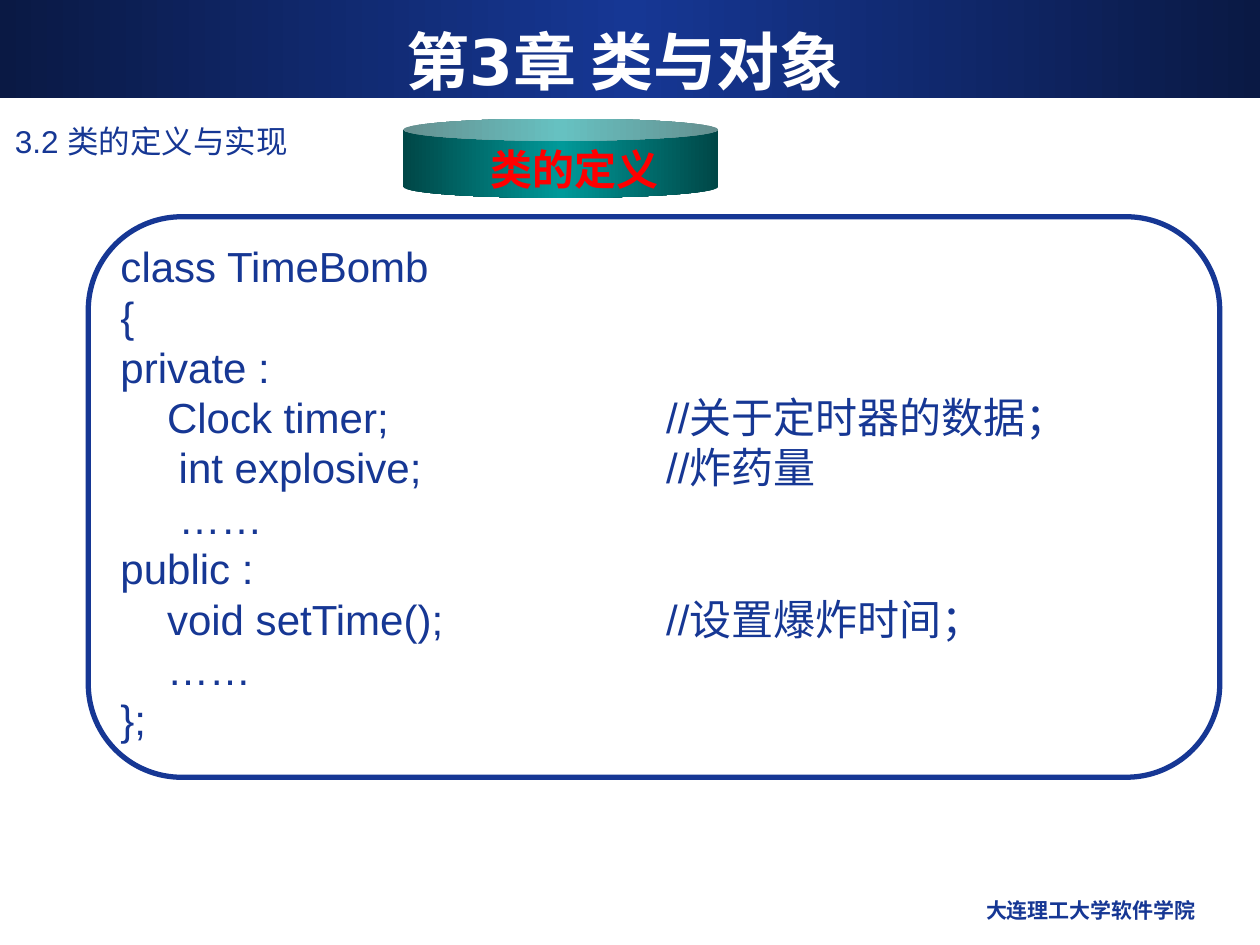
from copy import deepcopy
from dataclasses import dataclass

from lxml.etree import SubElement
from pptx import Presentation
from pptx.dml.color import RGBColor
from pptx.enum.shapes import MSO_SHAPE
from pptx.enum.text import MSO_ANCHOR, PP_ALIGN
from pptx.oxml.ns import qn
from pptx.util import Cm, Pt

COLORS = {
    "navy": "163794",
    "deep_navy": "0A1944",
    "teal": "009999",
    "deep_teal": "004747",
    "red": "FF0000",
    "white": "FFFFFF",
}
COMMENT_STOP = Cm(11)

CODE = (
    "class TimeBomb",
    "{",
    "private :",
    "    Clock timer;\t//关于定时器的数据；",
    "     int explosive;\t//炸药量",
    "     ……",
    "public :",
    "    void setTime();\t//设置爆炸时间；",
    "    ……",
    "};",
)


@dataclass(frozen=True)
class Frame:
    left: float
    top: float
    width: float
    height: float

    def lengths(self) -> tuple:
        return Cm(self.left), Cm(self.top), Cm(self.width), Cm(self.height)


@dataclass(frozen=True)
class Label:
    frame: Frame
    lines: tuple
    size: int
    color: str = "navy"
    font: str = "Arial"
    bold: bool = False
    align: PP_ALIGN = PP_ALIGN.LEFT
    anchor: MSO_ANCHOR = MSO_ANCHOR.TOP
    wrap: bool = True
    spacing: float = 0


LABELS = (
    Label(Frame(16.31, 17.96, 8.05, 0.89), ("大连理工大学软件学院",), 12,
          font="DejaVu Sans", bold=True, align=PP_ALIGN.RIGHT),
    Label(Frame(0.05, 2.34, 23.5, 1.04), ("3.2 类的定义与实现",), 18),
    Label(Frame(0.84, 0.43, 23.5, 1.57), ("第3章 类与对象",), 36, "white",
          "DejaVu Sans", True, PP_ALIGN.CENTER, MSO_ANCHOR.MIDDLE),
    Label(Frame(2.18, 4.72, 21.18, 10.41), CODE, 24, spacing=28.8),
    Label(Frame(9.63, 2.77, 3.89, 1.27), ("类的定义",), 24, "red",
          bold=True, wrap=False),
)


def rgb(name: str) -> RGBColor:
    return RGBColor.from_string(COLORS[name])


def add_plain_shape(page, kind: MSO_SHAPE, frame: Frame):
    shape = page.shapes.add_shape(kind, *frame.lengths())
    shape.shadow.inherit = False
    shape.fill.background()
    shape.line.fill.background()
    return shape


def fill_sheen(shape, edge: str, middle: str) -> None:
    fill = shape.fill
    fill.gradient()
    fill.gradient_angle = 0
    stops = shape._element.spPr.find(".//" + qn("a:gsLst"))
    center = deepcopy(stops[0])
    center.set("pos", "50000")
    stops.insert(1, center)
    for stop, name in zip(fill.gradient_stops, (edge, middle, edge)):
        stop.color.rgb = rgb(name)


def add_comment_stop(para) -> None:
    tabs = SubElement(para._p.get_or_add_pPr(), qn("a:tabLst"))
    SubElement(tabs, qn("a:tab"), pos=str(COMMENT_STOP), algn="l")


def add_label(page, label: Label) -> None:
    box = page.shapes.add_textbox(*label.frame.lengths())
    frame = box.text_frame
    frame.word_wrap = label.wrap
    frame.vertical_anchor = label.anchor
    for index, line in enumerate(label.lines):
        para = frame.add_paragraph() if index else frame.paragraphs[0]
        para.text = line
        para.alignment = label.align
        if label.spacing:
            para.line_spacing = Pt(label.spacing)
        if "\t" in line:
            add_comment_stop(para)
        para.font.name = label.font
        para.font.size = Pt(label.size)
        para.font.bold = label.bold
        para.font.color.rgb = rgb(label.color)


def main() -> None:
    deck = Presentation()
    deck.slide_width, deck.slide_height = Cm(25.4), Cm(19.05)
    page = deck.slides.add_slide(deck.slide_layouts[6])

    banner = add_plain_shape(page, MSO_SHAPE.RECTANGLE, Frame(0, 0, 25.4, 1.98))
    fill_sheen(banner, "deep_navy", "navy")

    code_border = add_plain_shape(page, MSO_SHAPE.ROUNDED_RECTANGLE,
                                  Frame(1.78, 4.37, 22.81, 11.3))
    code_border.line.color.rgb = rgb("navy")
    code_border.line.width = Pt(3)

    drum = add_plain_shape(page, MSO_SHAPE.CAN, Frame(8.13, 2.39, 6.35, 1.6))
    drum.adjustments[0] = 0.28
    fill_sheen(drum, "deep_teal", "teal")

    for label in LABELS:
        add_label(page, label)
    deck.save("out.pptx")


if __name__ == "__main__":
    main()
